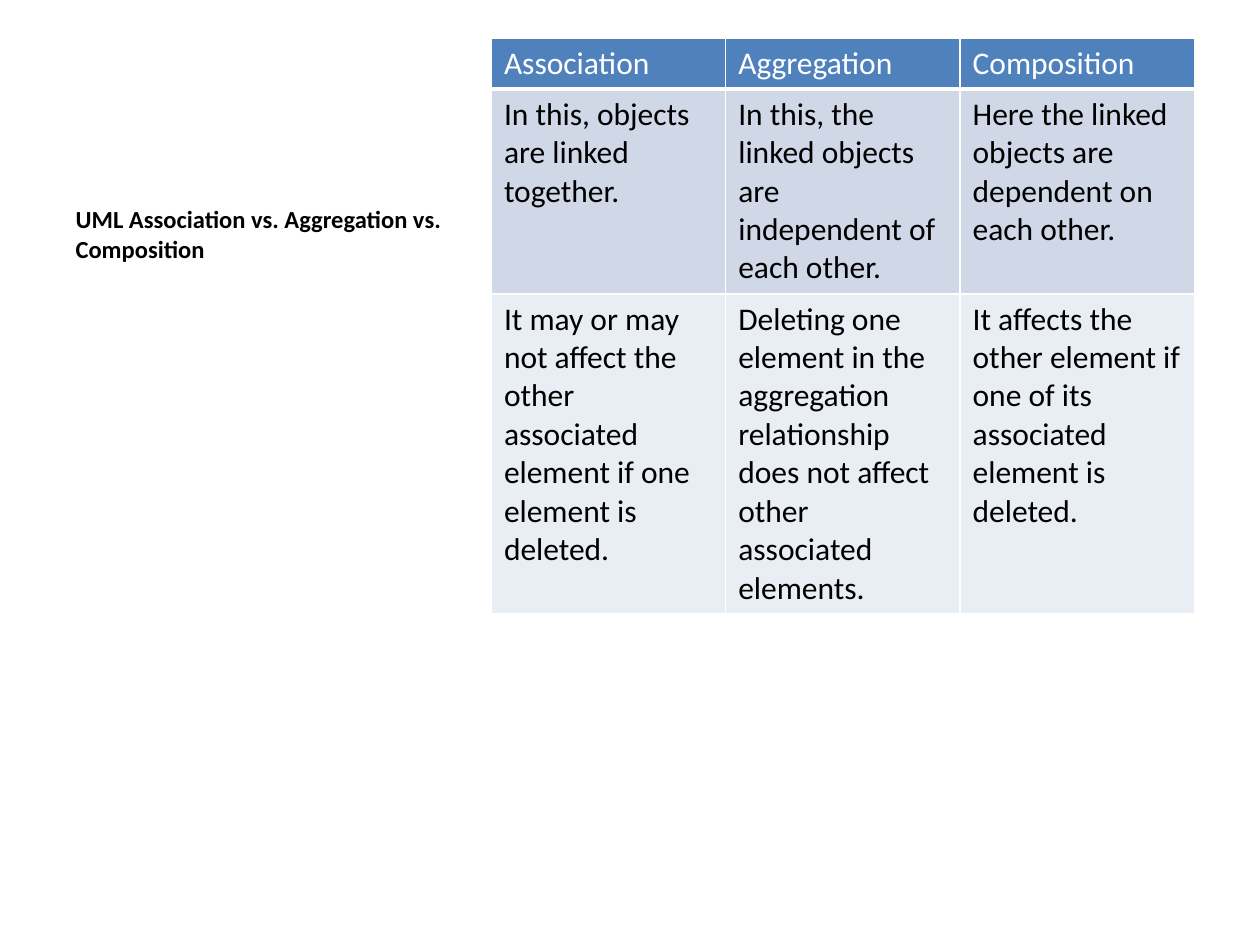
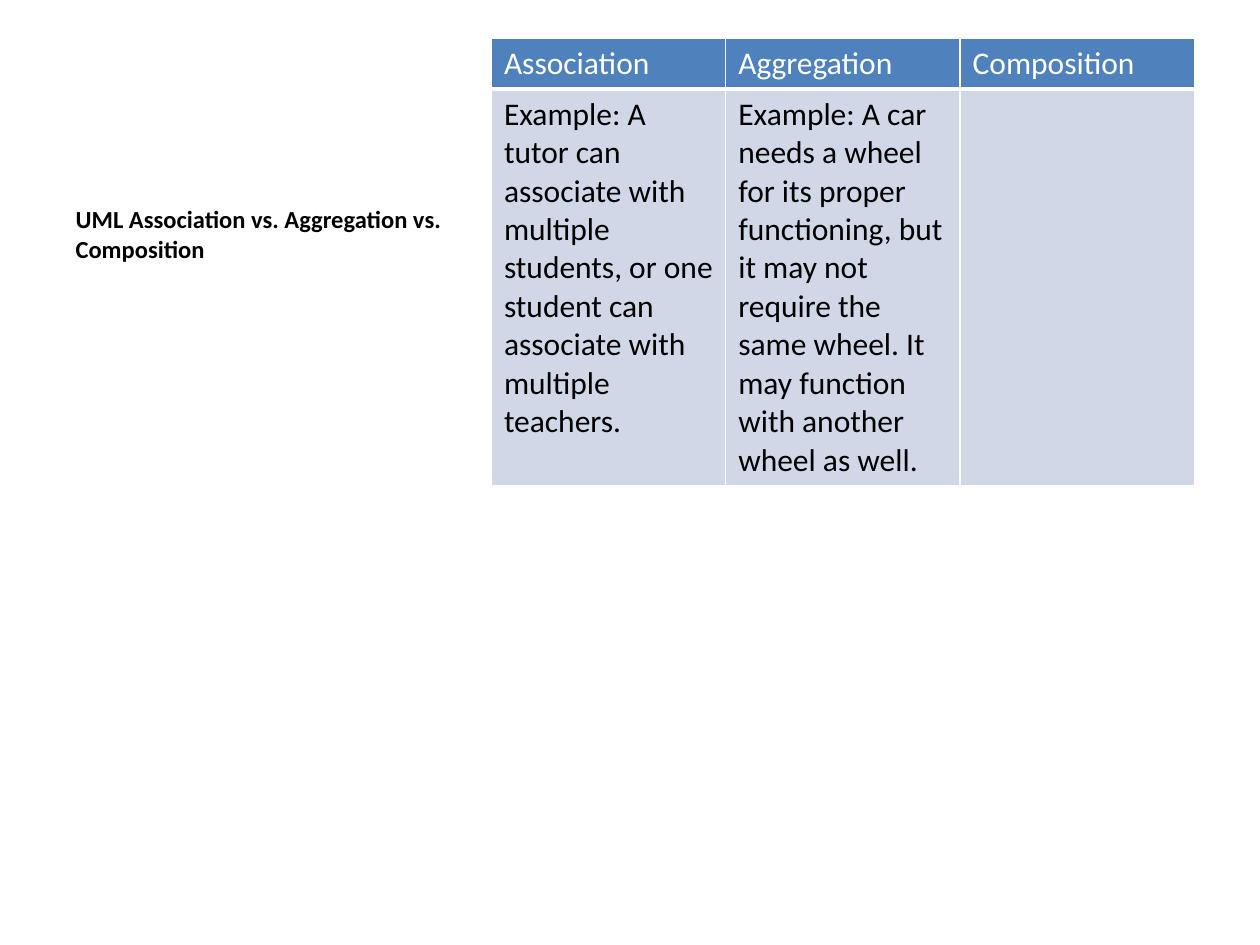
from lxml.etree import SubElement as sub
from pptx import Presentation
from pptx.dml.color import RGBColor
from pptx.enum.text import MSO_ANCHOR, MSO_AUTO_SIZE, PP_ALIGN
from pptx.oxml.ns import qn
from pptx.util import Inches, Pt

FONT = "Calibri"
WHITE, BLACK = "FFFFFF", "000000"
FILLS = ["4F81BD", "D0D8E8", "E9EDF4"]
TITLE = "UML Association vs. Aggregation vs. Composition"
HEAD = ["Association", "Aggregation", "Composition"]
HEAD_HIGH = 0.4
COL_WIDE = 1.86

# One entry per slide: body rows as (height, texts)
SLIDES = [
    [
        (1.62, ["In this, objects are linked together.",
                "In this, the linked objects are independent of each other.",
                "Here the linked objects are dependent on each other."]),
        (2.54, ["It may or may not affect the other associated element if one element is deleted.",
                "Deleting one element in the aggregation relationship does not affect other "
                "associated elements.",
                "It affects the other element if one of its associated element is deleted."]),
    ],
    [
        (3.15, ["Example: A tutor can associate with multiple students, or one student can "
                "associate with multiple teachers.",
                "Example: A car needs a wheel for its proper functioning, but it may not require "
                "the same wheel. It may function with another wheel as well.",
                ""]),
    ],
]


def style(font, size, color, bold=False):
    font.name, font.size, font.bold = FONT, Pt(size), bold
    font.color.rgb = RGBColor.from_string(color)


def edge(cell, top, bottom):
    """Draw white borders; top and bottom widths are in points."""
    props = cell._tc.get_or_add_tcPr()
    for side, width in zip("LRTB", (1, 1, top, bottom)):
        line = sub(props, qn(f"a:ln{side}"), w=str(Pt(width)))
        sub(sub(line, qn("a:solidFill")), qn("a:srgbClr"), val=WHITE)


prs = Presentation()
prs.slide_width, prs.slide_height = Inches(10), Inches(7.5)

for body in SLIDES:
    slide = prs.slides.add_slide(prs.slide_layouts[5])

    title = slide.shapes.title
    title.left, title.top = Inches(0.5), Inches(1.57)
    title.width, title.height = Inches(3.29), Inches(5.13)
    frame = title.text_frame
    frame.text = TITLE
    frame.word_wrap = True
    frame.auto_size = MSO_AUTO_SIZE.NONE
    frame.vertical_anchor = MSO_ANCHOR.TOP
    para = frame.paragraphs[0]
    para.alignment = PP_ALIGN.LEFT
    style(para.runs[0].font, 14, BLACK, bold=True)

    rows = [(HEAD_HIGH, HEAD)] + body
    high = sum(row[0] for row in rows)
    table = slide.shapes.add_table(len(rows), len(HEAD), Inches(3.9), Inches(0.3),
                                   Inches(COL_WIDE * len(HEAD)), Inches(high)).table
    for col in table.columns:
        col.width = Inches(COL_WIDE)
    for r, (tall, texts) in enumerate(rows):
        table.rows[r].height = Inches(tall)
        for c, text in enumerate(texts):
            cell = table.cell(r, c)
            edge(cell, 3 if r == 1 else 1, 3 if r == 0 else 1)
            cell.fill.solid()
            cell.fill.fore_color.rgb = RGBColor.from_string(FILLS[r])
            cell.text_frame.text = text
            style(cell.text_frame.paragraphs[0].font, 18, BLACK if r else WHITE)

prs.save("out.pptx")
